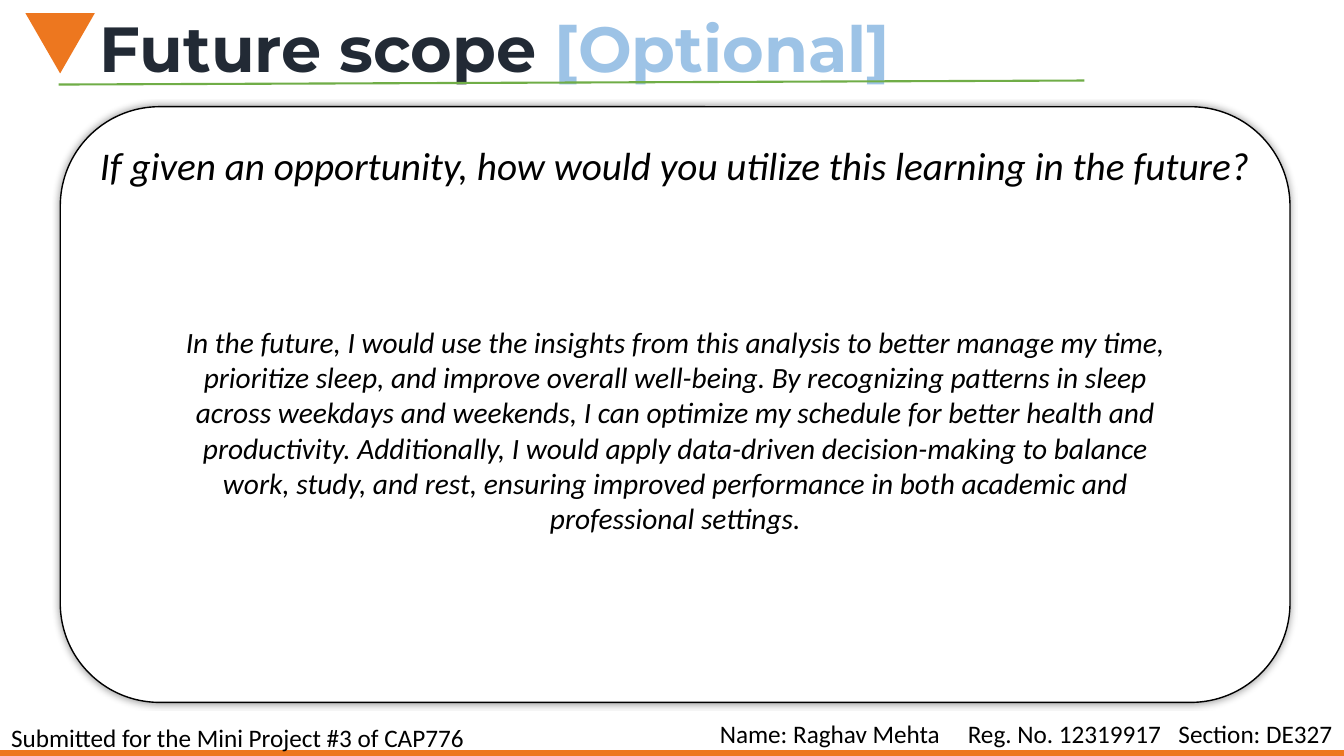
import pptx
import pptx.dml.color
import pptx.enum.shapes
import pptx.enum.text
import pptx.oxml
import pptx.oxml.ns
import pptx.util
from lxml import etree

Cm, Pt = pptx.util.Cm, pptx.util.Pt
RGB = pptx.dml.color.RGBColor
KIND = pptx.enum.shapes.MSO_SHAPE
ALIGN = pptx.enum.text.PP_ALIGN
ANCHOR = pptx.enum.text.MSO_ANCHOR

ORANGE = RGB(0xED, 0x77, 0x1F)
GREEN = RGB(0x70, 0xAD, 0x47)
NAVY = RGB(0x22, 0x2A, 0x35)
SKY = RGB(0x9D, 0xC3, 0xE6)
BLACK = RGB(0, 0, 0)
WHITE = RGB(0xFF, 0xFF, 0xFF)

GLOW = (
    '<a:effectLst %s><a:outerShdw blurRad="63500" dist="0" dir="0">'
    '<a:srgbClr val="000000"><a:alpha val="40000"/></a:srgbClr>'
    '</a:outerShdw></a:effectLst>' % pptx.oxml.ns.nsdecls("a")
)


class Page:
    """Holds the style and the current slide; all lengths are in cm."""

    base = {"name": "Calibri", "size": Pt(18)}
    inset = Cm(0.13)

    def __init__(self, deck):
        self.slide = deck.slides.add_slide(deck.slide_layouts[6])
        self.shapes = self.slide.shapes

    def group(self):
        self.shapes = self.slide.shapes.add_group_shape().shapes

    def ungroup(self):
        self.shapes = self.slide.shapes

    def shape(self, kind, box, fill, line=None, turn=0):
        item = self.shapes.add_shape(kind, *map(Cm, box))
        item.shadow.inherit = False
        item.rotation = turn
        item.fill.solid()
        item.fill.fore_color.rgb = fill
        if line is None:
            item.line.fill.background()
        else:
            item.line.color.rgb = line
            item.line.width = Pt(1)
        return item

    def card(self, box, fill, line):
        item = self.shape(KIND.ROUNDED_RECTANGLE, box, fill, line)
        props = item._element.spPr
        props.remove(props.find(pptx.oxml.ns.qn("a:effectLst")))
        props.append(pptx.oxml.parse_xml(GLOW))

    def rule(self, start, end, color):
        item = self.shapes.add_connector(
            pptx.enum.shapes.MSO_CONNECTOR.STRAIGHT, *map(Cm, start + end))
        item.line.color.rgb = color
        item.line.width = Pt(1.5)
        etree.SubElement(item._element.spPr, pptx.oxml.ns.qn("a:effectLst"))

    def text(self, box, runs, align=ALIGN.LEFT, anchor=ANCHOR.TOP,
             space=1.0, tabs=(), **style):
        frame = self.shapes.add_textbox(*map(Cm, box)).text_frame
        frame.word_wrap = True
        frame.vertical_anchor = anchor
        for side in ("left", "top", "right", "bottom"):
            setattr(frame, "margin_" + side, self.inset)
        para = frame.paragraphs[0]
        para.alignment = align
        para.line_spacing = space
        if tabs:
            stops = etree.SubElement(
                para._p.get_or_add_pPr(), pptx.oxml.ns.qn("a:tabLst"))
            for stop in tabs:
                etree.SubElement(stops, pptx.oxml.ns.qn("a:tab"),
                                 pos=str(int(Cm(stop))), algn="l")
        for words, color in runs:
            run = para.add_run()
            run.text = words
            run.font.color.rgb = color
            for key, value in {**self.base, **style}.items():
                setattr(run.font, key, value)


def main():
    deck = pptx.Presentation()
    deck.slide_width, deck.slide_height = Cm(33.87), Cm(19.05)
    page = Page(deck)

    # Heading
    page.text((2.39, 0.15, 24.94, 2.16),
              [("Future scope ", NAVY), ("[Optional]", SKY)],
              anchor=ANCHOR.BOTTOM, space=0.9,
              name="Montserrat", size=Pt(45.5), bold=True)
    page.rule((1.48, 2.13), (27.33, 2.03), GREEN)
    page.shape(KIND.ISOSCELES_TRIANGLE, (0.64, 0.33, 1.75, 1.52), ORANGE,
               turn=180)

    # Footer
    page.shape(KIND.RECTANGLE, (0, 18.9, 33.87, 0.23), ORANGE)
    page.text((18.01, 17.98, 15.75, 0.91),
              [("Name: Raghav Mehta\tReg. No. 12319917\tSection: DE327", BLACK)],
              tabs=(6.25, 11.56))
    page.text((0.15, 18.06, 12.5, 0.91),
              [("Submitted for the Mini Project #3 of CAP776", BLACK)])

    # Question and answer card
    page.group()
    page.card((1.52, 2.69, 30.99, 15.01), WHITE, BLACK)
    page.text((2.39, 3.43, 29.24, 2.44),
              [("If given an opportunity, how would you utilize this learning "
                "in the future?", BLACK)],
              size=Pt(28), italic=True)
    page.text((4.47, 8.03, 25.1, 5.59),
              [("In the future, I would use the insights from this analysis to "
                "better manage my time, prioritize sleep, and improve overall "
                "well-being. By recognizing patterns in sleep across weekdays "
                "and weekends, I can optimize my schedule for better health and "
                "productivity. Additionally, I would apply data-driven "
                "decision-making to balance work, study, and rest, ensuring "
                "improved performance in both academic and professional "
                "settings.", BLACK)],
              align=ALIGN.CENTER, size=Pt(21), italic=True)
    page.ungroup()

    deck.save("out.pptx")


if __name__ == "__main__":
    main()
